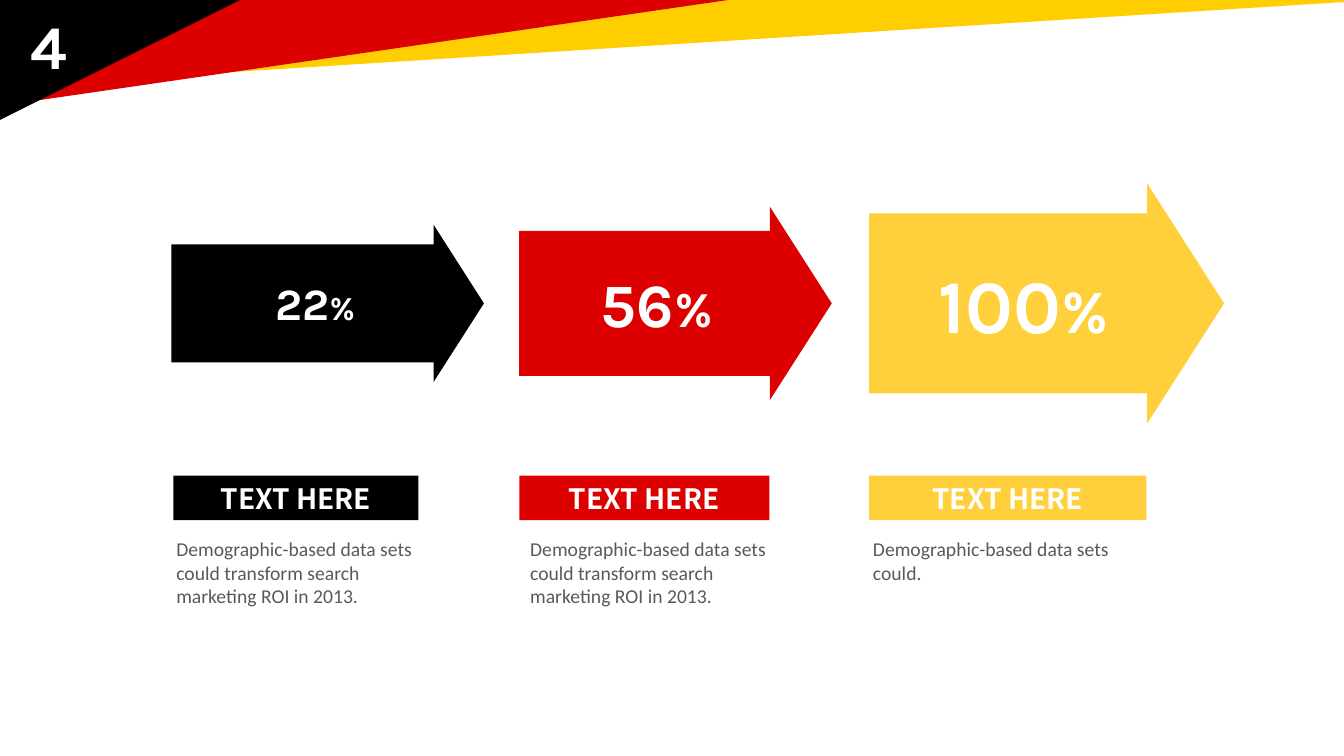
from pptx import Presentation
from pptx.dml.color import RGBColor
from pptx.enum.shapes import MSO_SHAPE
from pptx.enum.text import MSO_ANCHOR, MSO_AUTO_SIZE, PP_ALIGN
from pptx.util import Inches, Pt

TRIANGLE = MSO_SHAPE.RIGHT_TRIANGLE
ARROW = MSO_SHAPE.RIGHT_ARROW
RECT = MSO_SHAPE.RECTANGLE
LEFT, CENTER = PP_ALIGN.LEFT, PP_ALIGN.CENTER
MIDDLE = MSO_ANCHOR.MIDDLE
GROW = MSO_AUTO_SIZE.SHAPE_TO_FIT_TEXT

BLACK, RED, YELLOW, GOLD = "000000", "DD0000", "FFCE00", "FFD03B"
WHITE, GREY = "FFFFFF", "595959"
NUMBER_FONT, LABEL_FONT, BODY_FONT = "Karla", "Noto Sans CJK SC", "Calibri"
ARROW_MIDDLE, BAR_TOP, BODY_TOP = 3.01, 4.72, 5.28


def rgb(color):
    return RGBColor.from_string(color)


class SlideBuilder:
    def __init__(self, slide):
        self.s = slide

    def shape(self, kind, left, top, width, height, color):
        sp = self.s.shapes.add_shape(
            kind, Inches(left), Inches(top), Inches(width), Inches(height))
        sp.shadow.inherit = False
        sp.fill.solid()
        sp.fill.fore_color.rgb = rgb(color)
        sp.line.fill.background()
        return sp

    def corner(self, width, height, color):
        offset = (width - height) / 2
        sp = self.shape(TRIANGLE, offset, -offset, height, width, color)
        sp.rotation = 90

    def arrow(self, left, width, height, color):
        sp = self.shape(ARROW, left, ARROW_MIDDLE - height / 2, width, height, color)
        sp.adjustments[0] = 0.75
        sp.adjustments[1] = 0.32

    def add_runs(self, tf, runs, font, color, bold, align):
        p = tf.paragraphs[0]
        p.alignment = align
        for text, size in runs:
            r = p.add_run()
            r.text = text
            r.font.name = font
            r.font.size = Pt(size)
            r.font.bold = bold
            r.font.color.rgb = rgb(color)

    def bar(self, left, width, text, color):
        sp = self.shape(RECT, left, BAR_TOP, width, 0.44, color)
        tf = sp.text_frame
        tf.vertical_anchor = MIDDLE
        self.add_runs(tf, [(text, 20)], LABEL_FONT, WHITE, True, CENTER)

    def text(self, left, top, width, height, runs, font=NUMBER_FONT,
             color=WHITE, bold=True, align=LEFT, wrap=True):
        sp = self.s.shapes.add_textbox(
            Inches(left), Inches(top), Inches(width), Inches(height))
        tf = sp.text_frame
        tf.word_wrap = wrap
        tf.auto_size = GROW
        self.add_runs(tf, runs, font, color, bold, align)


def main():
    prs = Presentation()
    prs.slide_width = Inches(13.33)
    prs.slide_height = Inches(7.5)
    b = SlideBuilder(prs.slides.add_slide(prs.slide_layouts[6]))

    for width, height, color in [(13.65, 0.86, YELLOW), (7.22, 1.05, RED), (2.38, 1.19, BLACK)]:
        b.corner(width, height, color)

    long_text = "Demographic-based data sets could transform search marketing ROI in 2013."
    short_text = "Demographic-based data sets could."
    columns = [
        (BLACK, (1.7, 3.1, 1.56), (1.72, 2.43), (1.65, 0.81, long_text),
         (2.63, 1.03, 0.64), [("22", 32), ("%", 24)]),
        (RED, (5.15, 3.1, 1.92), (5.15, 2.48), (5.16, 0.81, long_text),
         (5.86, 1.36, 0.84), [("56", 44), ("%", 36)]),
        (GOLD, (8.62, 3.52, 2.38), (8.62, 2.75), (8.56, 0.57, short_text),
         (9.21, 2.19, 1.01), [("100", 54), ("%", 44)]),
    ]
    for color, arrow, bar, body, number, runs in columns:
        b.arrow(*arrow, color)
        b.bar(*bar, "TEXT HERE", color)
        left, height, text = body
        b.text(left, BODY_TOP, 2.71, height, [(text, 14)], BODY_FONT, GREY, False)
        left, width, height = number
        b.text(left, ARROW_MIDDLE - height / 2, width, height, runs)

    b.text(0.2, 0.03, 0.56, 0.84, [("4", 44)], align=CENTER, wrap=False)
    prs.save("out.pptx")


if __name__ == "__main__":
    main()
